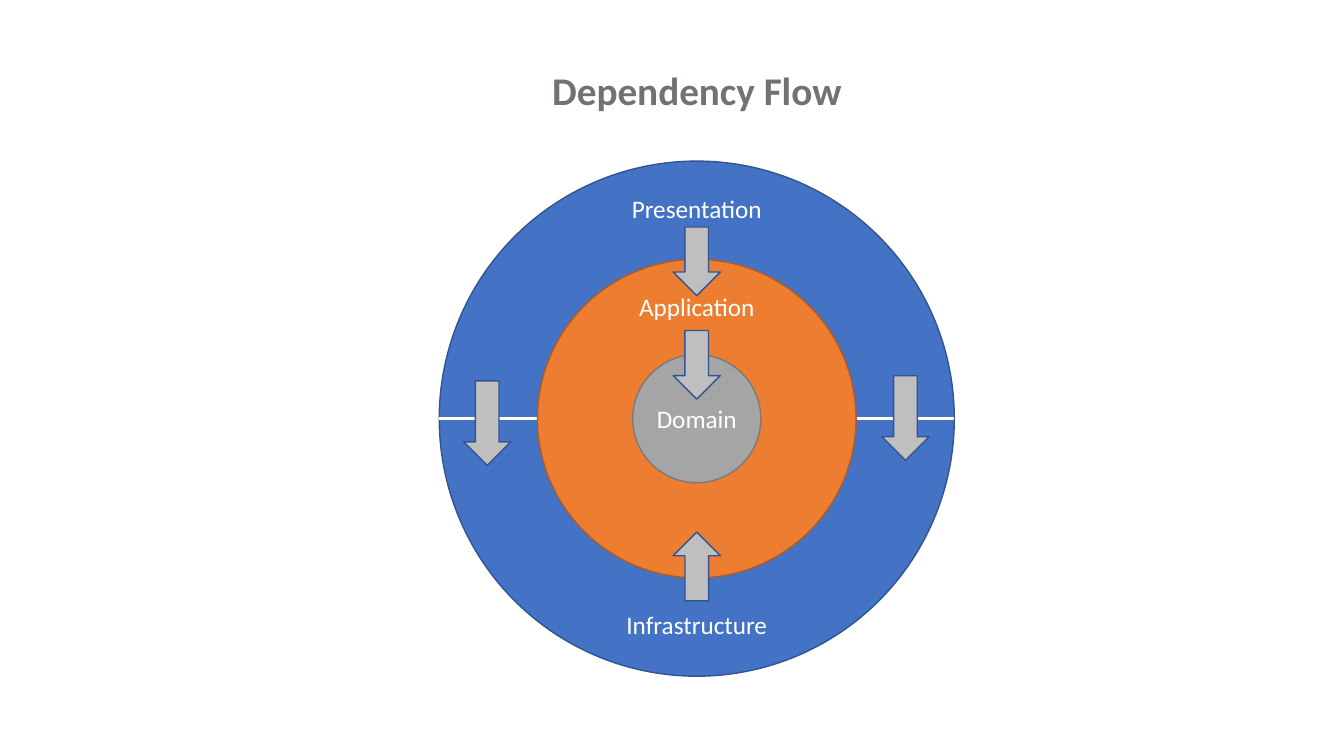
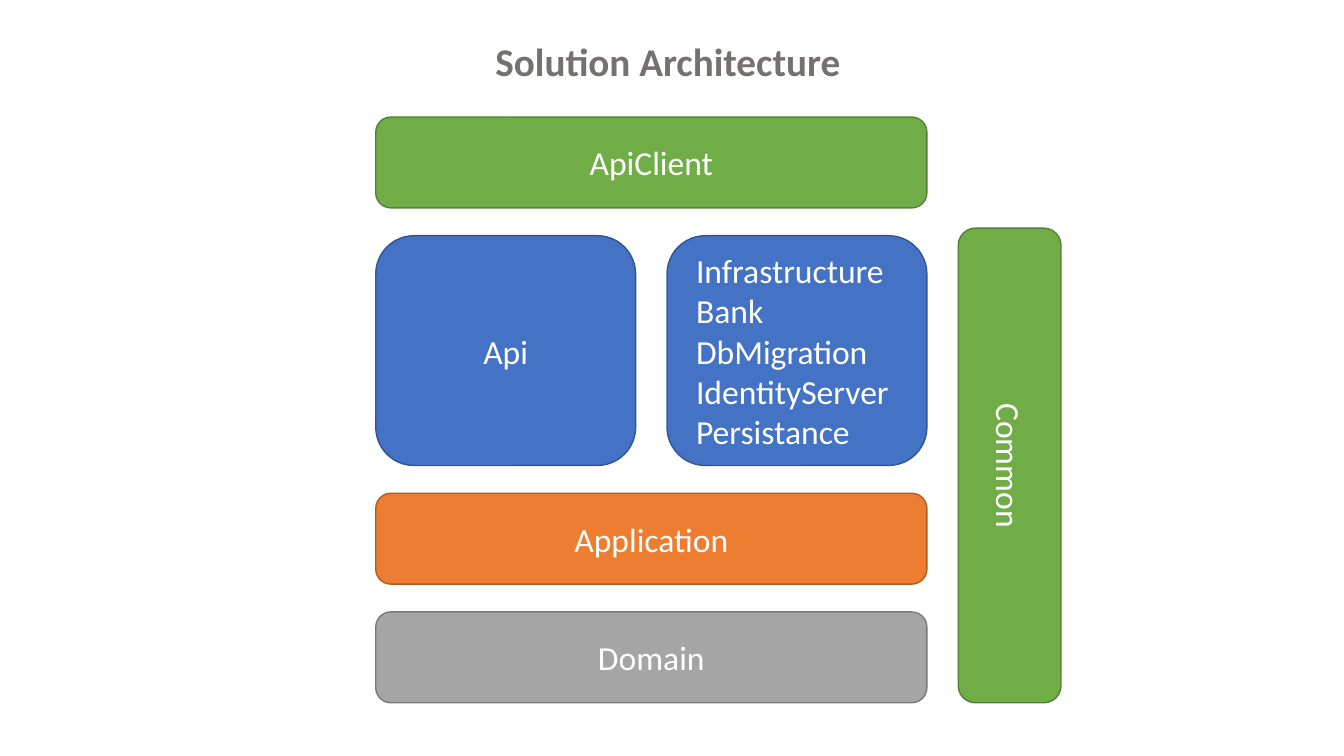
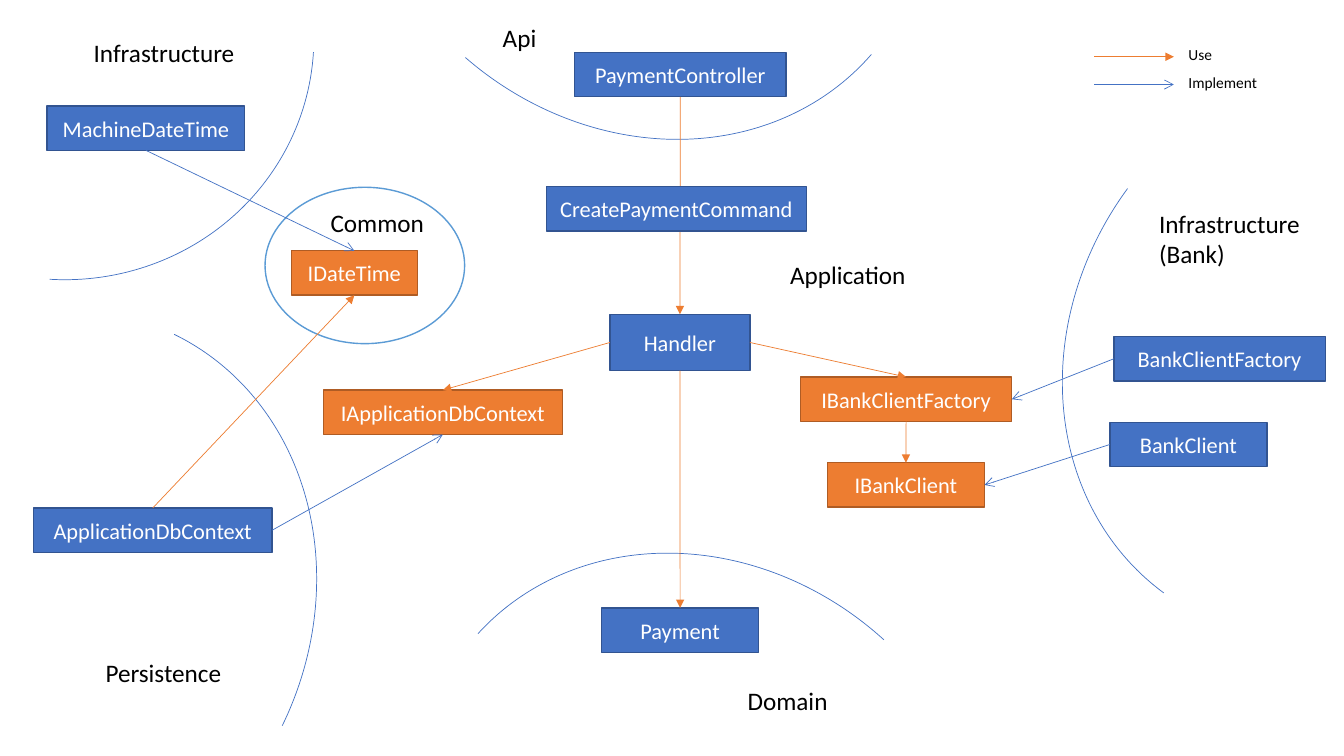
import pptx
import pptx.dml.color
import pptx.enum.shapes
import pptx.enum.text
import pptx.oxml
import pptx.util

Cm = pptx.util.Cm
Pt = pptx.util.Pt
SHAPE = pptx.enum.shapes.MSO_SHAPE
ALIGN = pptx.enum.text.PP_ALIGN
ANCHOR = pptx.enum.text.MSO_ANCHOR

FONT = "Calibri"
WHITE, BLACK, TITLE_GREY, ARROW_GREY = "FFFFFF", "000000", "767171", "BFBFBF"
# Each style is a fill and its darker outline.
BLUE = ("4472C4", "325491")
ORANGE = ("ED7D31", "AF5C24")
GREY = ("A5A5A5", "7A7A7A")
GREEN = ("70AD47", "538035")
TOP, LEFT, BOTTOM, RIGHT = range(4)
# Each kind of link is a colour and an arrowhead.
USE = (ORANGE[0], "triangle")
IMPLEMENT = (BLUE[0], "arrow")


def rgb(hex_colour):
    return pptx.dml.color.RGBColor.from_string(hex_colour)


def set_values(target, values):
    for name, value in values.items():
        setattr(target, name, value)


def write(shape, text, size, colour, bold=False, align=ALIGN.CENTER, **frame_values):
    """Fill a shape with one paragraph for each line of text."""
    frame = shape.text_frame
    set_values(frame, {"word_wrap": True, **frame_values})
    for index, line in enumerate(text.split("\n")):
        para = frame.add_paragraph() if index else frame.paragraphs[0]
        para.alignment = align
        span = para.add_run()
        span.text = line
        set_values(span.font, {"name": FONT, "size": Pt(size), "bold": bold})
        span.font.color.rgb = rgb(colour)


def add_label(slide, box, text, size=18, colour=BLACK, **values):
    shape = slide.shapes.add_textbox(*map(Cm, box))
    write(shape, text, size, colour, **values)


def add_title(slide, center, top, text):
    width = 12
    add_label(slide, (center - width / 2, top, width, 1.45), text, 28, TITLE_GREY, bold=True)


def add_figure(slide, kind, box, style, line_width=1, rotation=0):
    """Draw a preset shape; a fill of None leaves it hollow."""
    fill, outline = style
    shape = slide.shapes.add_shape(kind, *map(Cm, box))
    shape.shadow.inherit = False
    shape.rotation = rotation
    if fill:
        shape.fill.solid()
        shape.fill.fore_color.rgb = rgb(fill)
    else:
        shape.fill.background()
    shape.line.color.rgb = rgb(outline)
    shape.line.width = Pt(line_width)
    return shape


def add_block(slide, kind, box, style, text, size, **values):
    shape = add_figure(slide, kind, box, style)
    write(shape, text, size, WHITE, vertical_anchor=ANCHOR.MIDDLE, **values)
    return shape


def add_line(slide, start, end, colour, width=0.5, arrowhead=None):
    line = slide.shapes.add_connector(
        pptx.enum.shapes.MSO_CONNECTOR.STRAIGHT, *map(Cm, (*start, *end)))
    line.line.color.rgb = rgb(colour)
    line.line.width = Pt(width)
    if arrowhead:
        tail = pptx.oxml.parse_xml(
            '<a:tailEnd xmlns:a="http://schemas.openxmlformats.org/drawingml/2006/main"'
            f' type="{arrowhead}"/>')
        line.line._get_or_add_ln().append(tail)
    line._element.spPr.append(pptx.oxml.parse_xml(
        '<a:effectLst xmlns:a="http://schemas.openxmlformats.org/drawingml/2006/main"/>'))
    return line


def add_onion(slide, left, top, size):
    """Draw concentric layers, their names and the dependency arrows."""
    center = size / 2

    def add_ring(diameter, style):
        inset = center - diameter / 2
        add_figure(slide, SHAPE.OVAL, (left + inset, top + inset, diameter, diameter), style)

    add_ring(size, BLUE)
    add_line(slide, (left, top + center), (left + size, top + center), WHITE, 2.25)
    add_ring(8.03, ORANGE)
    add_ring(3.23, GREY)

    names = {"Presentation": 0.69, "Application": 3.15, "Infrastructure": 11.18}
    for name, offset in names.items():
        add_label(slide, (left, top + offset, size, 1.02), name, colour=WHITE)

    width = 1.19
    arrows = [
        (1.21, 5.54, 2.13, 0),
        (center, 1.66, 1.73, 0),
        (center, 4.27, 1.73, 0),
        (11.75, 5.41, 2.13, 0),
        (center, 9.35, 1.73, 180),
    ]
    for middle, offset, height, rotation in arrows:
        box = (left + middle - width / 2, top + offset, width, height)
        add_figure(slide, SHAPE.DOWN_ARROW, box, (ARROW_GREY, BLUE[1]), rotation=rotation)
    add_label(slide, (left, top + 5.97, size, 1.02), "Domain", colour=WHITE)


def add_layers(slide, left, top, width):
    """Stack the solution layers, with the common part standing beside them."""
    row_gap, column_gap = 0.7, 0.79
    half = (width - column_gap) / 2
    bar, tall = 2.29, 5.79
    services = "Infrastructure\nBank\nDbMigration\nIdentityServer\nPersistance"
    rows = [
        (bar, [("ApiClient", GREEN, {})]),
        (tall, [("Api", BLUE, {}),
                (services, BLUE, {"align": ALIGN.LEFT, "margin_left": Cm(0.45)})]),
        (bar, [("Application", ORANGE, {})]),
        (bar, [("Domain", GREY, {})]),
    ]
    row_top = top
    for height, cells in rows:
        cell_width = width if len(cells) == 1 else half
        for column, (text, style, values) in enumerate(cells):
            box = (left + column * (half + column_gap), row_top, cell_width, height)
            add_block(slide, SHAPE.ROUNDED_RECTANGLE, box, style, text, 24, **values)
        row_top += height + row_gap

    bottom = row_top - row_gap
    height = 11.96
    box = (left + width + column_gap, bottom - height, 2.59, height)
    common = add_block(slide, SHAPE.ROUNDED_RECTANGLE, box, GREEN, "Common", 24)
    common.text_frame._txBody.bodyPr.set("vert", "vert")


def add_class_map(slide, left, top):
    """Draw the classes, the borders of their modules and the links between them."""
    add_figure(slide, SHAPE.OVAL, (left + 6.68, top + 4.72, 5.03, 3.94), (WHITE, "5B9BD5"))

    def add_class(name, x, y, width, style, height=1.12):
        box = (left + x, top + y, width, height)
        return add_block(slide, SHAPE.RECTANGLE, box, style, name, 16)

    classes = [
        ("PaymentController", 14.48, 1.32, 5.33, BLUE),
        ("Handler", 15.37, 7.92, 3.53, BLUE, 1.42),
        ("IBankClientFactory", 20.17, 9.5, 5.33, ORANGE),
        ("IApplicationDbContext", 8.15, 9.83, 6.02, ORANGE),
        ("IBankClient", 20.85, 11.66, 3.96, ORANGE),
        ("BankClientFactory", 28.07, 8.48, 5.33, BLUE),
        ("BankClient", 27.97, 10.64, 3.96, BLUE),
        ("Payment", 15.16, 15.32, 3.96, BLUE),
        ("IDateTime", 7.34, 6.32, 3.18, ORANGE),
        ("MachineDateTime", 1.19, 2.67, 4.98, BLUE),
        ("ApplicationDbContext", 0.84, 12.8, 6.02, BLUE),
    ]
    blocks = {entry[0]: add_class(*entry) for entry in classes}

    large, small = (13.54, 15.34), (12.22, 12.6)
    borders = [
        (9.4, -11.33, large, 131),
        (27.1, 1.09, large, 216.3),
        (10.95, 13.46, large, 312.3),
        (-4.5, -5.36, small, 93.4),
        (-5.74, 7.65, large, 26),
    ]
    for x, y, size, rotation in borders:
        add_figure(slide, SHAPE.ARC, (left + x, top + y, *size), (None, BLUE[0]), 0.5, rotation)

    modules = [
        ("Application", 19.66, 6.4, 3.45),
        ("Infrastructure\n(Bank)", 28.96, 5.13, 4.09),
        ("Domain", 18.59, 17.15, 2.54),
        ("Persistence", 2.41, 16.43, 3.45),
        ("Infrastructure", 2.11, 0.81, 4.09),
        ("Api", 12.42, 0.43, 1.37),
        ("Common", 8.08, 5.11, 2.9),
    ]
    for name, x, y, width in modules:
        add_label(slide, (left + x, top + y, width, 1.02), name,
                  align=ALIGN.LEFT, word_wrap=False)

    links = [
        ("PaymentController", BOTTOM, "Handler", TOP, USE),
        ("Handler", RIGHT, "IBankClientFactory", TOP, USE),
        ("Handler", LEFT, "IApplicationDbContext", TOP, USE),
        ("Handler", BOTTOM, "Payment", TOP, USE),
        ("IBankClientFactory", BOTTOM, "IBankClient", TOP, USE),
        ("ApplicationDbContext", TOP, "IDateTime", BOTTOM, USE),
        ("MachineDateTime", BOTTOM, "IDateTime", TOP, IMPLEMENT),
        ("ApplicationDbContext", RIGHT, "IApplicationDbContext", BOTTOM, IMPLEMENT),
        ("BankClient", LEFT, "IBankClient", RIGHT, IMPLEMENT),
        ("BankClientFactory", LEFT, "IBankClientFactory", RIGHT, IMPLEMENT),
    ]
    for source, source_side, target, target_side, (colour, arrowhead) in links:
        line = add_line(slide, (0, 0), (1, 1), colour, arrowhead=arrowhead)
        line.begin_connect(blocks[source], source_side)
        line.end_connect(blocks[target], target_side)
    # The command sits on top of the line from controller to handler.
    add_class("CreatePaymentCommand", 13.77, 4.7, 6.55, BLUE)


def add_legend(slide, left, top):
    line_width, pitch = 2, 0.7
    for row, (name, (colour, arrowhead)) in enumerate({"Use": USE, "Implement": IMPLEMENT}.items()):
        row_top = top + row * pitch
        middle = row_top + 0.41
        add_line(slide, (left, middle), (left + line_width, middle), colour, arrowhead=arrowhead)
        add_label(slide, (left + line_width + 0.12, row_top, 2.3, 0.74), name, 11, align=ALIGN.LEFT)


def main():
    deck = pptx.Presentation()
    set_values(deck, {"slide_width": Cm(33.87), "slide_height": Cm(19.05)})
    flow, architecture, classes = [
        deck.slides.add_slide(deck.slide_layouts[6]) for _ in range(3)]

    add_title(flow, 17.56, 1.55, "Dependency Flow")
    add_onion(flow, 11.07, 4.06, 12.98)

    add_layers(architecture, 9.47, 2.95, 13.89)
    add_title(architecture, 16.83, 0.81, "Solution Architecture")

    add_class_map(classes, 0, 0)
    add_legend(classes, 27.58, 1.02)
    deck.save("out.pptx")


if __name__ == "__main__":
    main()
